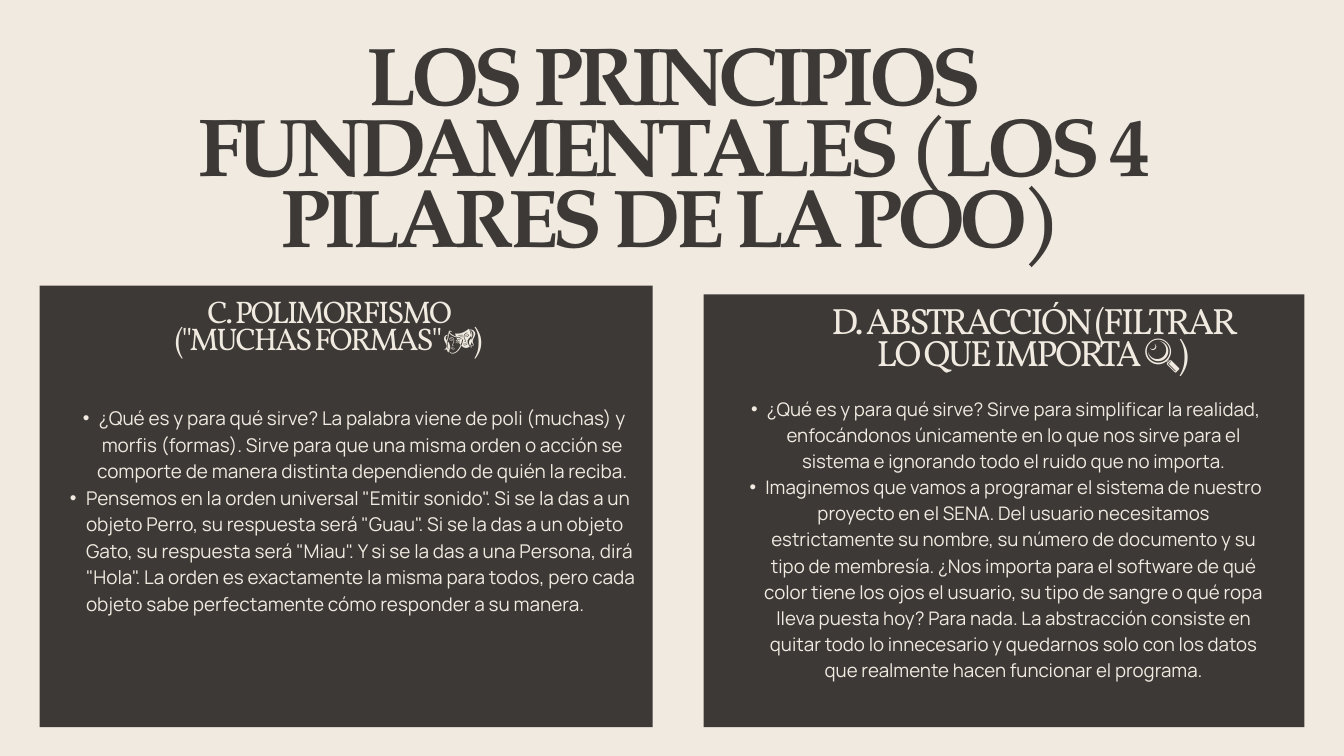
from lxml import etree
from pptx import Presentation
from pptx.dml.color import RGBColor
from pptx.enum import shapes, text
from pptx.oxml import ns
from pptx.util import Inches, Pt

CREAM = RGBColor(0xF1, 0xEA, 0xE0)
CHARCOAL = RGBColor(0x3C, 0x39, 0x36)
CENTER, LEFT = text.PP_ALIGN.CENTER, text.PP_ALIGN.LEFT

# Areas are left, top, width, height in inches; sizes and spacings in points.
TITLE = {
    "text": "LOS PRINCIPIOS FUNDAMENTALES (LOS 4 PILARES DE LA POO)",
    "area": (2.47, 0.77, 15.05, 3.22),
    "style": {"font": "TeX Gyre Pagella", "size": 88, "leading": 75.7,
              "tracking": -6.1, "color": CHARCOAL, "bold": True},
}
PILLARS = [
    {
        "panel": (0.59, 4.25, 9.12, 6.57),
        "heading": 'C. POLIMORFISMO ("MUCHAS FORMAS" 🎭)',
        "heading_area": (2.18, 4.51, 5.42, 0.83),
        "heading_style": {"size": 33.5, "leading": 28.8, "tracking": -2.3},
        "points": [
            ("¿Qué es y para qué sirve? La palabra viene de poli (muchas) y morfis "
             "(formas). Sirve para que una misma orden o acción se comporte de manera "
             "distinta dependiendo de quién la reciba.", CENTER),
            ('Pensemos en la orden universal "Emitir sonido". Si se la das a un objeto '
             'Perro, su respuesta será "Guau". Si se la das a un objeto Gato, su '
             'respuesta será "Miau". Y si se la das a una Persona, dirá "Hola". La '
             "orden es exactamente la misma para todos, pero cada objeto sabe "
             "perfectamente cómo responder a su manera.", LEFT),
        ],
        "points_area": (0.8, 6, 8.7, 3.85),
        "points_style": {"size": 20.3, "leading": 28.4, "indent": 0.48},
    },
    {
        "panel": (10.47, 4.38, 8.94, 6.44),
        "heading": "D. ABSTRACCIÓN (FILTRAR LO QUE IMPORTA 🔍)",
        "heading_area": (12.3, 4.62, 6.14, 0.98),
        "heading_style": {"size": 39.2, "leading": 33.8, "tracking": -2.7},
        "points": [
            ("¿Qué es y para qué sirve? Sirve para simplificar la realidad, "
             "enfocándonos únicamente en lo que nos sirve para el sistema e ignorando "
             "todo el ruido que no importa.", CENTER),
            ("Imaginemos que vamos a programar el sistema de nuestro proyecto en el "
             "SENA. Del usuario necesitamos estrictamente su nombre, su número de "
             "documento y su tipo de membresía. ¿Nos importa para el software de qué "
             "color tiene los ojos el usuario, su tipo de sangre o qué ropa lleva "
             "puesta hoy? Para nada. La abstracción consiste en quitar todo lo "
             "innecesario y quedarnos solo con los datos que realmente hacen funcionar "
             "el programa.", CENTER),
        ],
        "points_area": (10.83, 5.86, 8.04, 4.58),
        "points_style": {"size": 20, "leading": 28, "indent": 0.47},
    },
]


def inches(area):
    return [Inches(length) for length in area]


def add_panel(page, area):
    """Add a dark panel behind the placeholders."""
    panel = page.shapes.add_shape(shapes.MSO_SHAPE.RECTANGLE, *inches(area))
    panel.shadow.inherit = False
    panel.fill.solid()
    panel.fill.fore_color.rgb = CHARCOAL
    panel.line.fill.background()
    page.shapes._spTree.insert(2, panel._element)


def set_bullet(para, indent):
    """Hang a bullet halfway into the indent, or none when there is no indent."""
    props = para._p.get_or_add_pPr()
    props.set("marL", str(Inches(indent)))
    props.set("indent", str(-Inches(indent / 2)))
    if indent:
        etree.SubElement(props, ns.qn("a:buFont")).set("typeface", "Arial")
        etree.SubElement(props, ns.qn("a:buChar")).set("char", "•")
    else:
        etree.SubElement(props, ns.qn("a:buNone"))


def fill_box(box, area, paragraphs, font, size, leading, tracking=0, indent=0,
             color=CREAM, bold=False):
    box.left, box.top, box.width, box.height = inches(area)
    frame = box.text_frame
    frame.word_wrap = True
    frame.auto_size = text.MSO_AUTO_SIZE.NONE
    frame.vertical_anchor = text.MSO_ANCHOR.TOP
    frame.margin_left = frame.margin_right = 0
    frame.margin_top = frame.margin_bottom = 0
    for number, (words, alignment) in enumerate(paragraphs):
        para = frame.add_paragraph() if number else frame.paragraphs[0]
        para.alignment = alignment
        para.line_spacing = Pt(leading)
        para.space_before = para.space_after = Pt(0)
        set_bullet(para, indent)
        para.font.name = font
        para.font.size = Pt(size)
        para.font.bold = bold
        para.font.color.rgb = color
        span = para.add_run()
        span.text = words
        if tracking:
            span._r.get_or_add_rPr().set("spc", str(round(tracking * 100)))


def main():
    deck = Presentation()
    deck.slide_width, deck.slide_height = Inches(20), Inches(11.25)
    page = deck.slides.add_slide(deck.slide_layouts.get_by_name("Comparison"))
    page.background.fill.solid()
    page.background.fill.fore_color.rgb = CREAM

    title, *bodies = page.placeholders
    fill_box(title, TITLE["area"], [(TITLE["text"], CENTER)], **TITLE["style"])
    for pillar, heading, points in zip(PILLARS, bodies[::2], bodies[1::2]):
        add_panel(page, pillar["panel"])
        fill_box(heading, pillar["heading_area"], [(pillar["heading"], CENTER)],
                 "Vollkorn", **pillar["heading_style"])
        fill_box(points, pillar["points_area"], pillar["points"],
                 "Manrope", **pillar["points_style"])
    deck.save("out.pptx")


if __name__ == "__main__":
    main()
